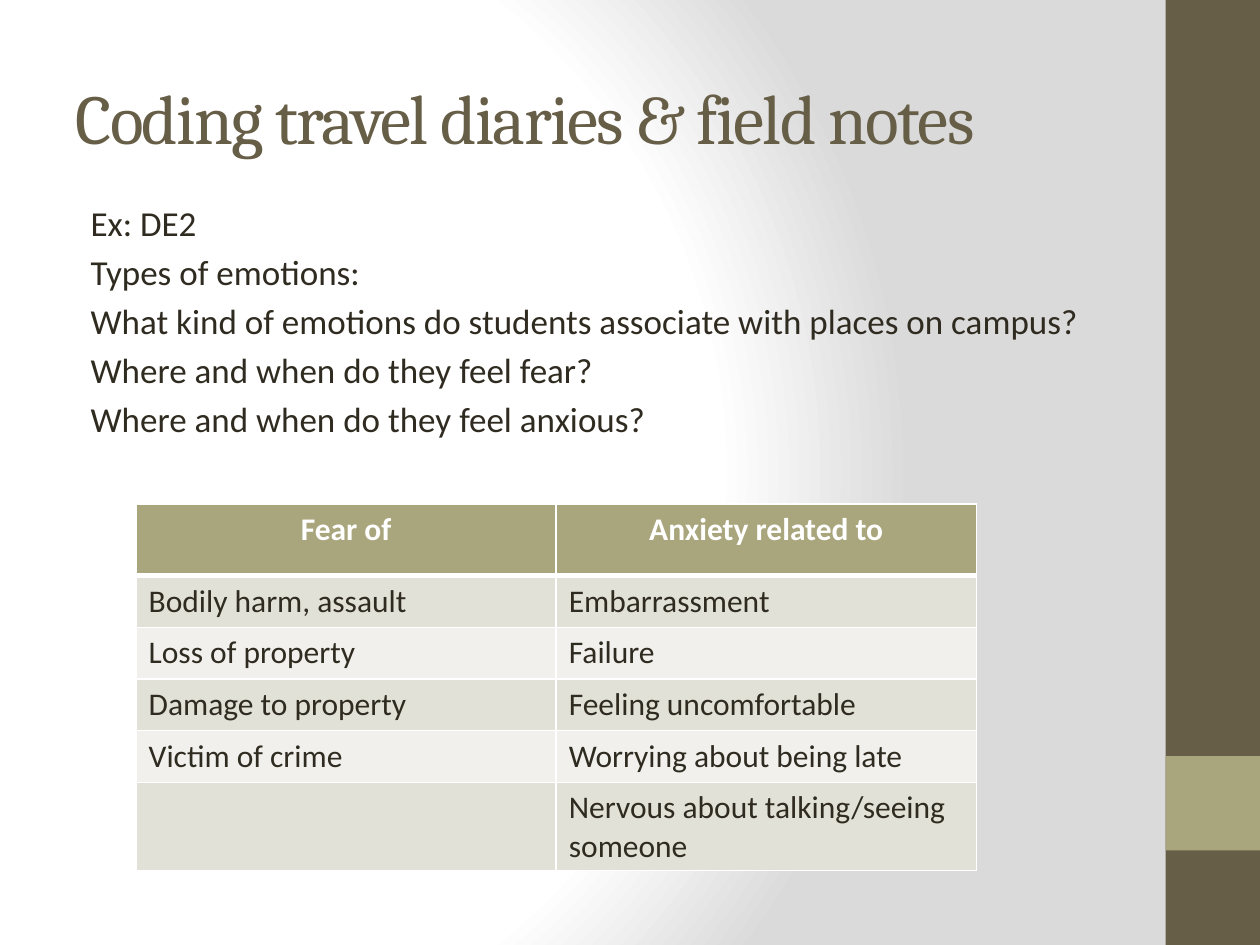
from pptx import Presentation
from pptx.dml.color import RGBColor
from pptx.enum import shapes, text
from pptx.oxml import parse_xml
from pptx.oxml.ns import nsdecls
from pptx.util import Inches, Pt

# Content
TITLE = "Coding travel diaries & field notes"
QUESTIONS = [
    "Ex: DE2",
    "Types of emotions:",
    "What kind of emotions do students associate with places on campus?",
    "Where and when do they feel fear?",
    "Where and when do they feel anxious?",
]
CODES = [
    ("Fear of", "Anxiety related to"),
    ("Bodily harm, assault", "Embarrassment"),
    ("Loss of property", "Failure"),
    ("Damage to property", "Feeling uncomfortable"),
    ("Victim of crime", "Worrying about being late"),
    ("", "Nervous about talking/seeing someone"),
]

# Palette
BROWN, OLIVE, INK, WHITE = "675E47", "A9A57C", "2F2B20", "FFFFFF"
BANDS = ("E2E1D7", "F1F0EC")
GRADIENT = [(0, WHITE), (75, WHITE), (100, "DADADA")]


def paint(fill, color):
    fill.solid()
    fill.fore_color.rgb = RGBColor.from_string(color)


def write(paragraph, words, size=20, font="Calibri", color=INK, bold=False,
          align=text.PP_ALIGN.LEFT, before=0, indent=0, spacing=0):
    paragraph.alignment = align
    paragraph.space_before = Pt(before)
    properties = paragraph._p.get_or_add_pPr()
    properties.set("marL", str(Inches(indent)))
    properties.set("indent", "0")
    run = paragraph.add_run()
    run.text = words
    run.font.size, run.font.name, run.font.bold = Pt(size), font, bold
    paint(run.font.fill, color)
    if spacing:
        run._r.get_or_add_rPr().set("spc", str(spacing * 100))


def add_borders(cell, **widths):
    properties = cell._tc.get_or_add_tcPr()
    for position, side in enumerate("LRTB"):
        width = Pt(widths.get(side, 1))
        properties.insert(position, parse_xml(
            f'<a:ln{side} {nsdecls("a")} w="{width}"><a:solidFill>'
            f'<a:srgbClr val="{WHITE}"/></a:solidFill></a:ln{side}>'))


def add_background(slide):
    stops = "".join(f'<a:gs pos="{pos * 1000}"><a:srgbClr val="{color}"/></a:gs>'
                    for pos, color in GRADIENT)
    slide.element.cSld.insert(0, parse_xml(
        f'<p:bg {nsdecls("p", "a")}><p:bgPr><a:gradFill rotWithShape="1">'
        f'<a:gsLst>{stops}</a:gsLst><a:path path="circle">'
        '<a:fillToRect l="20000" t="50000" r="100000" b="50000"/></a:path>'
        '</a:gradFill><a:effectLst/></p:bgPr></p:bg>'))


def add_band(slide, top, height, color):
    band = slide.shapes.add_shape(shapes.MSO_SHAPE.RECTANGLE, Inches(9.25),
                                  Inches(top), Inches(0.75), Inches(height))
    band.shadow.inherit = False
    paint(band.fill, color)
    band.line.fill.background()


def add_title(slide):
    title = slide.shapes.title
    title.left, title.top = Inches(0.5), Inches(0.3)
    title.width, title.height = Inches(8.33), Inches(1.25)
    title.text_frame.vertical_anchor = text.MSO_ANCHOR.MIDDLE
    write(title.text_frame.paragraphs[0], TITLE, size=40, font="Cambria",
          color=BROWN, spacing=-1)


def add_questions(slide):
    box = slide.shapes.add_textbox(Inches(0.5), Inches(1.55), Inches(8.42), Inches(5.78))
    frame = box.text_frame
    frame.word_wrap = True
    for number, question in enumerate(QUESTIONS):
        paragraph = frame.add_paragraph() if number else frame.paragraphs[0]
        write(paragraph, question, before=4, indent=0.12)


def add_codes(slide):
    table = slide.shapes.add_table(len(CODES), 2, Inches(1.08), Inches(4),
                                   Inches(6.67), Inches(2.62)).table
    for r, codes in enumerate(CODES):
        table.rows[r].height = Inches(0.41 if r else 0.57)
        for c, code in enumerate(codes):
            cell = table.cell(r, c)
            paint(cell.fill, BANDS[(r - 1) % 2] if r else OLIVE)
            add_borders(cell, T=3 if r == 1 else 1, B=1 if r else 3)
            paragraph = cell.text_frame.paragraphs[0]
            if not code:
                paragraph.font.size = Pt(18)
            elif r:
                write(paragraph, code, size=18)
            else:
                write(paragraph, code, size=18, color=WHITE, bold=True,
                      align=text.PP_ALIGN.CENTER)


def main():
    deck = Presentation()
    deck.slide_width, deck.slide_height = Inches(10), Inches(7.5)
    slide = deck.slides.add_slide(deck.slide_layouts[5])
    add_background(slide)
    # Side bar with its accent
    add_band(slide, 0, 7.5, BROWN)
    add_band(slide, 6, 0.75, OLIVE)
    add_title(slide)
    add_questions(slide)
    add_codes(slide)
    deck.save("out.pptx")


if __name__ == "__main__":
    main()
